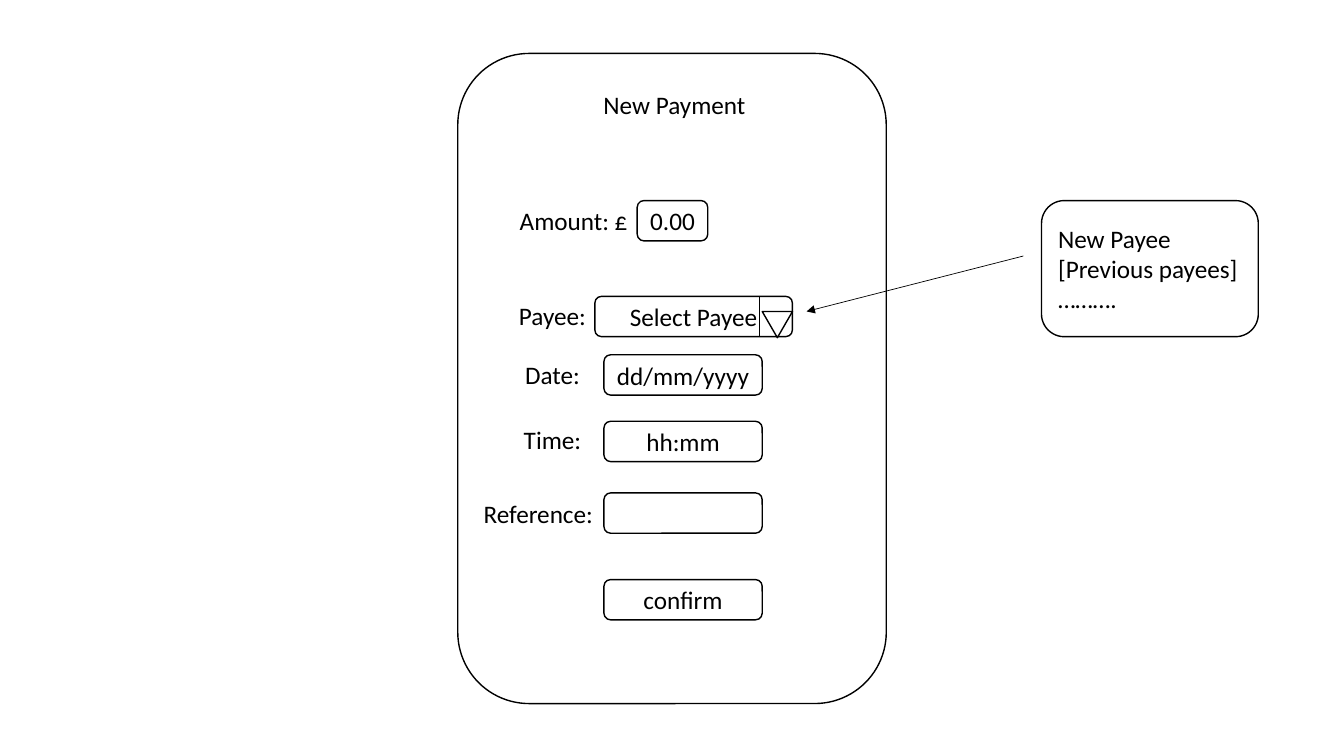
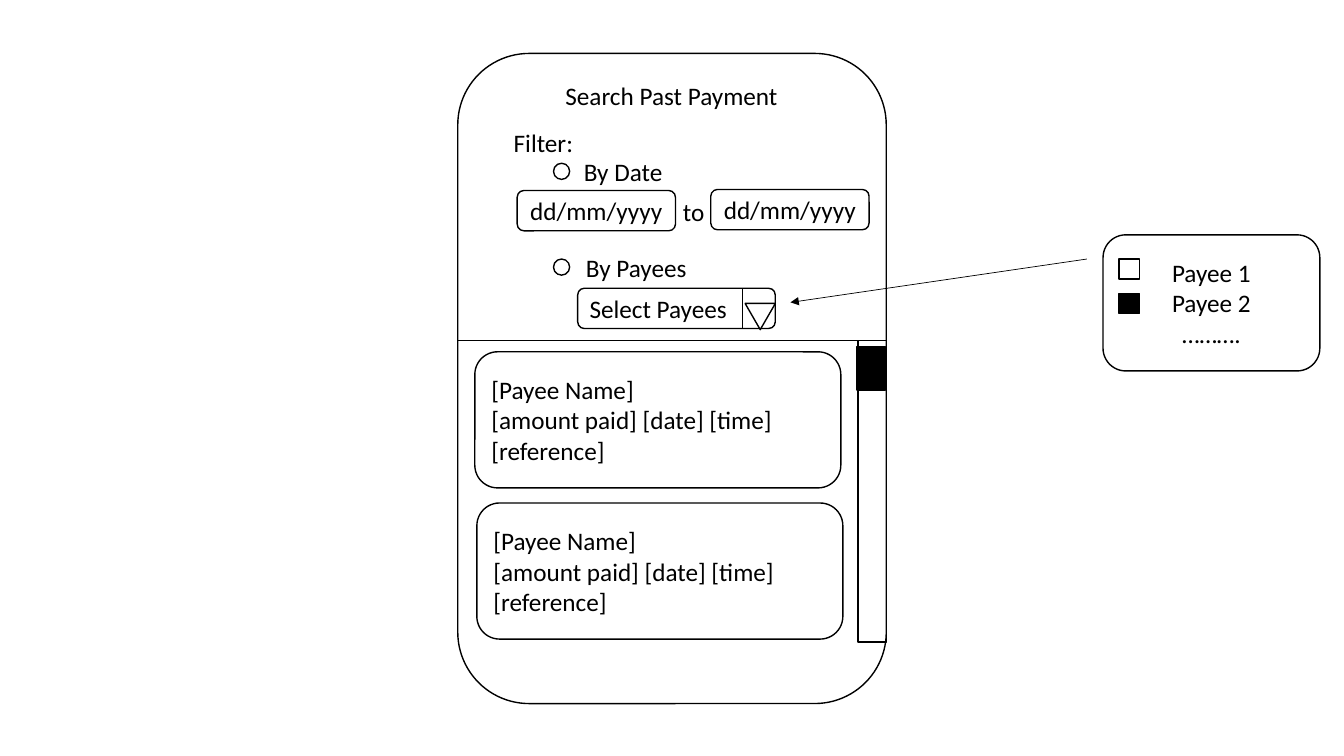
from pptx import Presentation
from pptx import util as u
from pptx.dml.color import RGBColor
from pptx.enum import shapes, text
from pptx.oxml.ns import qn
from lxml import etree

PX = 9144  # EMU in one px, 100 px to the inch
INK = "000000"
FONT = "Calibri"
SIZE = 18
LINE, THIN = 1, 0.5
KIND = shapes.MSO_SHAPE
CENTER, LEFT = text.PP_ALIGN.CENTER, text.PP_ALIGN.LEFT
ROW = 40  # height of a label or field
PHONE = (454, 53, 425, 645)


def px(*lengths):
    return [u.Emu(length * PX) for length in lengths]


def color(hex_code):
    return RGBColor.from_string(hex_code)


class Wireframe:
    def __init__(self):
        self.deck = Presentation()
        self.deck.slide_width, self.deck.slide_height = px(1333, 750)
        self.slide = None

    def screen(self, title, x, y, w):
        """Start a slide with its phone outline and title."""
        self.slide = self.deck.slides.add_slide(self.deck.slide_layouts[5])
        heading = self.slide.shapes.title
        heading.left, heading.top, heading.width, heading.height = px(x, y, w, ROW)
        self.set_text(heading, [title], CENTER, text.MSO_ANCHOR.TOP)
        self.box(KIND.ROUNDED_RECTANGLE, *PHONE)

    def set_text(self, shape, lines, align, anchor):
        frame = shape.text_frame
        frame.word_wrap = True
        frame.auto_size = text.MSO_AUTO_SIZE.NONE
        frame.vertical_anchor = anchor
        frame.text = "\n".join(lines)
        for paragraph in frame.paragraphs:
            paragraph.alignment = align
            paragraph.font.name = FONT
            paragraph.font.size = u.Pt(SIZE)
            paragraph.font.color.rgb = color(INK)

    def box(self, kind, x, y, w, h, fill=None, parent=None):
        parent = parent or self.slide.shapes
        shape = parent.add_shape(kind, *px(x, y, w, h))
        shape.shadow.inherit = False
        if fill:
            shape.fill.solid()
            shape.fill.fore_color.rgb = color(fill)
        else:
            shape.fill.background()
        shape.line.color.rgb = color(INK)
        shape.line.width = u.Pt(LINE)
        return shape

    def label(self, caption, x, y, w=196):
        label = self.slide.shapes.add_textbox(*px(x, y, w, ROW))
        self.set_text(label, [caption], CENTER, text.MSO_ANCHOR.TOP)

    def field(self, lines, x, y, w=157, h=ROW, align=CENTER, parent=None):
        field = self.box(KIND.ROUNDED_RECTANGLE, x, y, w, h, parent=parent)
        if lines:
            self.set_text(field, lines, align, text.MSO_ANCHOR.MIDDLE)
        if align == CENTER:
            field.text_frame.margin_left, field.text_frame.margin_right = px(5, 5)

    def line(self, x1, y1, x2, y2, arrow=False, parent=None):
        parent = parent or self.slide.shapes
        line = parent.add_connector(shapes.MSO_CONNECTOR.STRAIGHT, *px(x1, y1, x2, y2))
        line.line.color.rgb = color(INK)
        line.line.width = u.Pt(THIN)
        properties = line._element.spPr
        if arrow:
            etree.SubElement(properties.find(qn("a:ln")), qn("a:tailEnd"), type="triangle")
        etree.SubElement(properties, qn("a:effectLst"))

    def dropdown(self, caption, x, y, align=CENTER):
        group = self.slide.shapes.add_group_shape().shapes
        self.field([caption], x, y, 196, align=align, parent=group)
        triangle = self.box(KIND.ISOSCELES_TRIANGLE, x + 166, y + 15, 30, 26, parent=group)
        triangle.rotation = 180
        self.line(x + 163, y, x + 163, y + ROW, parent=group)

    def card(self, lines, x, y, w=215, align=LEFT):
        self.field(lines, x, y, w, 135, align)


def new_payment(wire):
    wire.screen("New Payment", 571, 84, 196)

    # Form rows
    wire.label("Amount: £", 471, 199)
    wire.field(["0.00"], 632, 199, 70)
    wire.label("Payee:", 450, 293)
    wire.dropdown("Select Payee", 590, 294)
    for caption, x, label_y, hint, field_y in (
        ("Date:", 450, 352, ["dd/mm/yyyy"], 352),
        ("Time:", 450, 416, ["hh:mm"], 418),
        ("Reference:", 436, 489, [], 489),
    ):
        wire.label(caption, x, label_y)
        wire.field(hint, 599, field_y)
    wire.field(["confirm"], 599, 575)

    # Payee choices
    wire.line(1015, 254, 800, 309, arrow=True)
    wire.card(["New Payee", "[Previous payees]", "………."], 1033, 199)


def search_payments(wire):
    wire.screen("Search Past Payment", 546, 75, 240)

    # Filters
    wire.label("Filter:", 441, 121)
    for caption, x, y in (("By Date", 520, 150), ("By Payees", 533, 245)):
        wire.box(KIND.OVAL, 549, y + 12, 16, 16)
        wire.label(caption, x, y)
    for x, y in ((513, 189), (705, 188)):
        wire.field(["dd/mm/yyyy"], x, y)
    wire.label("to", 590, 190)
    wire.dropdown("Select Payees", 573, 286, LEFT)

    # Payee choices
    wire.line(1078, 257, 784, 300, arrow=True)
    wire.card(["Payee 1", "Payee 2", "………."], 1094, 233, align=CENTER)
    for y, fill in ((257, None), (291, INK)):
        wire.box(KIND.RECTANGLE, 1110, y, 20, 20, fill)

    # Results with scroll bar
    left, _, width, _ = PHONE
    wire.line(left, 338, left + width, 338)
    wire.box(KIND.RECTANGLE, 851, 338, 28, 299)
    wire.box(KIND.RECTANGLE, 850, 344, 28, 43, INK)
    for x, y in ((471, 349), (473, 499)):
        wire.card(["[Payee Name]", "[amount paid] [date] [time]", "[reference]"], x, y, 363)


def main():
    wire = Wireframe()
    new_payment(wire)
    search_payments(wire)
    wire.deck.save("out.pptx")


if __name__ == "__main__":
    main()
